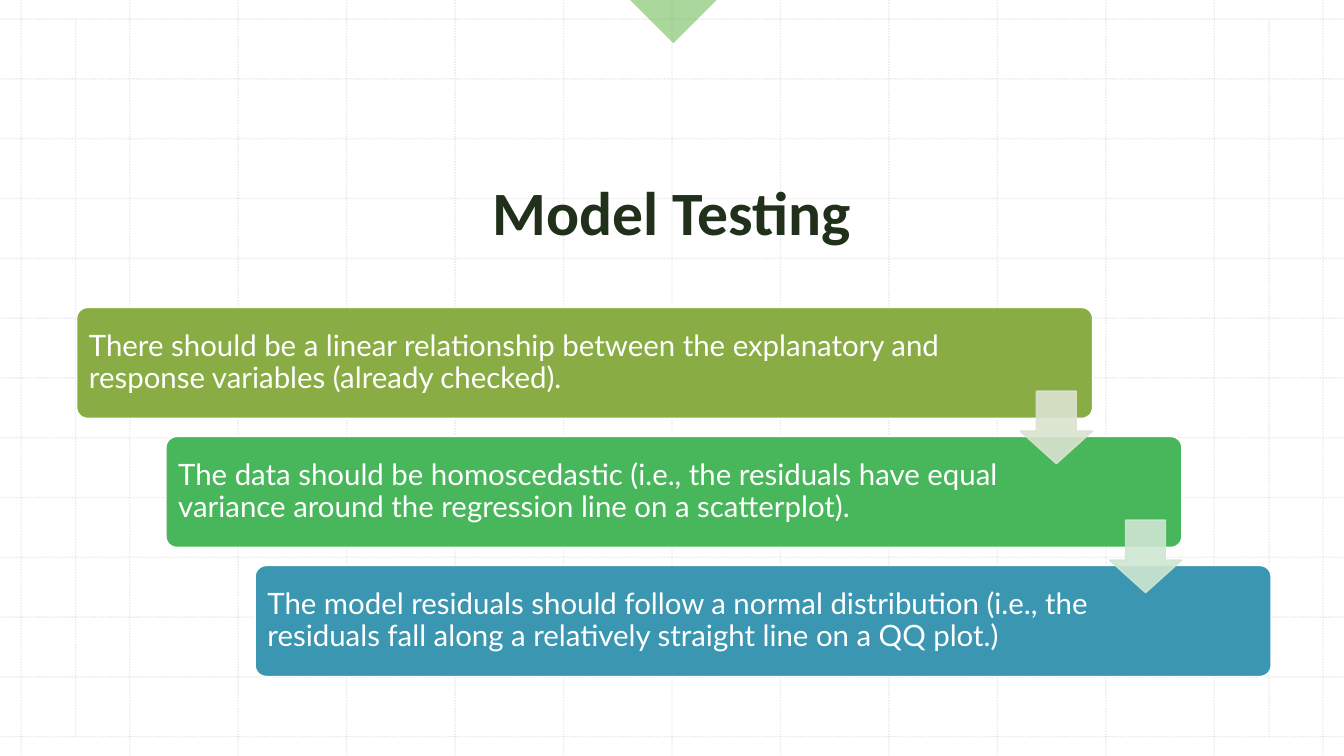
import pptx
import pptx.util
import pptx.dml.color
import pptx.enum.dml
import pptx.enum.shapes
import pptx.enum.text
import pptx.oxml
import pptx.oxml.ns

RGB = pptx.dml.color.RGBColor
SHAPE = pptx.enum.shapes.MSO_SHAPE
ANCHOR = pptx.enum.text.MSO_ANCHOR
ALIGN = pptx.enum.text.PP_ALIGN

WIDE = pptx.util.Inches(13.33)
HIGH = pptx.util.Inches(7.5)

WHITE = RGB(0xFF, 0xFF, 0xFF)
GREY = RGB(0xBC, 0xBC, 0xBC)
INK = RGB(0x20, 0x30, 0x1B)
LEAF = RGB(0x57, 0xB1, 0x3B)
OLIVE = RGB(0x89, 0xAD, 0x44)
GREEN = RGB(0x48, 0xB7, 0x5B)
BLUE = RGB(0x3B, 0x97, 0xB1)
PALE = RGB(0xDA, 0xE3, 0xCF)
MINT = RGB(0xCF, 0xE6, 0xD2)

LEFT, TOP = 1.58, 2.53
COL, ROW = 8.07, 7.91
COUNT = 13
STEP_X, STEP_Y = 6.64, 17.07

STEPS = [
    ("There should be a linear relationship between the explanatory and "
     "response variables (already checked).", OLIVE, 9.15),
    ("The data should be homoscedastic (i.e., the residuals have equal "
     "variance around the regression line on a scatterplot).", GREEN, 12.68),
    ("The model residuals should follow a normal distribution (i.e., the "
     "residuals fall along a relatively straight line on a QQ plot.)", BLUE, 12.68),
]


def across(share):
    return round(WIDE * share / 100)


def down(share):
    return round(HIGH * share / 100)


def place(x, y, w, h):
    return across(x), down(y), across(w), down(h)


def fade(fill, share):
    node = fill._xPr.find(".//" + pptx.oxml.ns.qn("a:srgbClr"))
    alpha = pptx.oxml.parse_xml(
        f'<a:alpha {pptx.oxml.ns.nsdecls("a")} val="{share * 1000}"/>')
    node.append(alpha)


def paint(fill, color, share=100):
    fill.solid()
    fill.fore_color.rgb = color
    if share < 100:
        fade(fill, share)


def add_rule(group, x1, y1, x2, y2):
    rule = group.shapes.add_connector(
        pptx.enum.shapes.MSO_CONNECTOR.STRAIGHT,
        across(x1), down(y1), across(x2), down(y2))
    rule.line.width = pptx.util.Pt(1)
    paint(rule.line.fill, GREY, 30)
    rule.line.dash_style = pptx.enum.dml.MSO_LINE.ROUND_DOT
    rule._element.spPr.append(pptx.oxml.parse_xml(
        f'<a:effectLst {pptx.oxml.ns.nsdecls("a")}/>'))


def add_grid(slide):
    group = slide.shapes.add_group_shape()
    for i in range(COUNT):
        x, y = LEFT + i * COL, TOP + i * ROW
        add_rule(group, x, 0, x, 100)
        add_rule(group, 0, y, 100, y)
    for x in (5.63, 94.43):
        add_rule(group, x, TOP, x, 100 - TOP)


def add_form(group, kind, box, color, share=100, edge=None):
    form = group.shapes.add_shape(kind, *place(*box))
    form.shadow.inherit = False
    paint(form.fill, color, share)
    if edge is None:
        form.line.fill.background()
    else:
        form.line.width = pptx.util.Pt(1)
        paint(form.line.fill, edge, share)
    return form


def write(frame, text, font, size, color, bold, align, anchor, pads):
    frame.word_wrap = True
    frame.vertical_anchor = anchor
    frame.margin_left, frame.margin_top, frame.margin_right, frame.margin_bottom = place(*pads)
    frame.text = text
    line = frame.paragraphs[0]
    line.alignment = align
    line.line_spacing = 0.9
    face = line.runs[0].font
    face.name, face.size, face.bold = font, pptx.util.Pt(size), bold
    face.color.rgb = color


def add_title(slide, text):
    box = slide.shapes.add_textbox(*place(5.7, 10.53, 88.6, 31.47))
    write(box.text_frame, text, "Calibri", 44, INK, True,
          ALIGN.CENTER, ANCHOR.BOTTOM, (0.75, 0.67, 0.75, 10.13))


def add_bar(group, i, text, color, pad):
    box = (5.7 + i * STEP_X, 40.67 + i * STEP_Y, 75.6, 14.67)
    bar = add_form(group, SHAPE.ROUNDED_RECTANGLE, box, color, edge=WHITE)
    bar.adjustments[0] = 0.1
    write(bar.text_frame, text, "Lato", 21, WHITE, False,
          ALIGN.LEFT, ANCHOR.MIDDLE, (0.68, 1.2, pad, 1.2))


def add_arrow(group, i, color):
    box = (75.9 + i * STEP_X, 51.73 + i * STEP_Y, 5.4, 9.6)
    arrow = add_form(group, SHAPE.DOWN_ARROW, box, color, 90, color)
    arrow.adjustments[0] = 0.55
    arrow.adjustments[1] = 0.45


def add_steps(slide):
    group = slide.shapes.add_group_shape()
    for i, (text, color, pad) in enumerate(STEPS):
        add_bar(group, i, text, color, pad)
    for i, color in enumerate((PALE, MINT)):
        add_arrow(group, i, color)


def main():
    deck = pptx.Presentation()
    deck.slide_width, deck.slide_height = WIDE, HIGH
    slide = deck.slides.add_slide(deck.slide_layouts[6])
    add_grid(slide)
    wedge = add_form(slide, SHAPE.RIGHT_TRIANGLE, (47.78, -4.27, 4.65, 8.27), LEAF, 50)
    wedge.rotation = 315
    add_title(slide, "Model Testing")
    add_steps(slide)
    deck.save("out.pptx")


if __name__ == "__main__":
    main()
